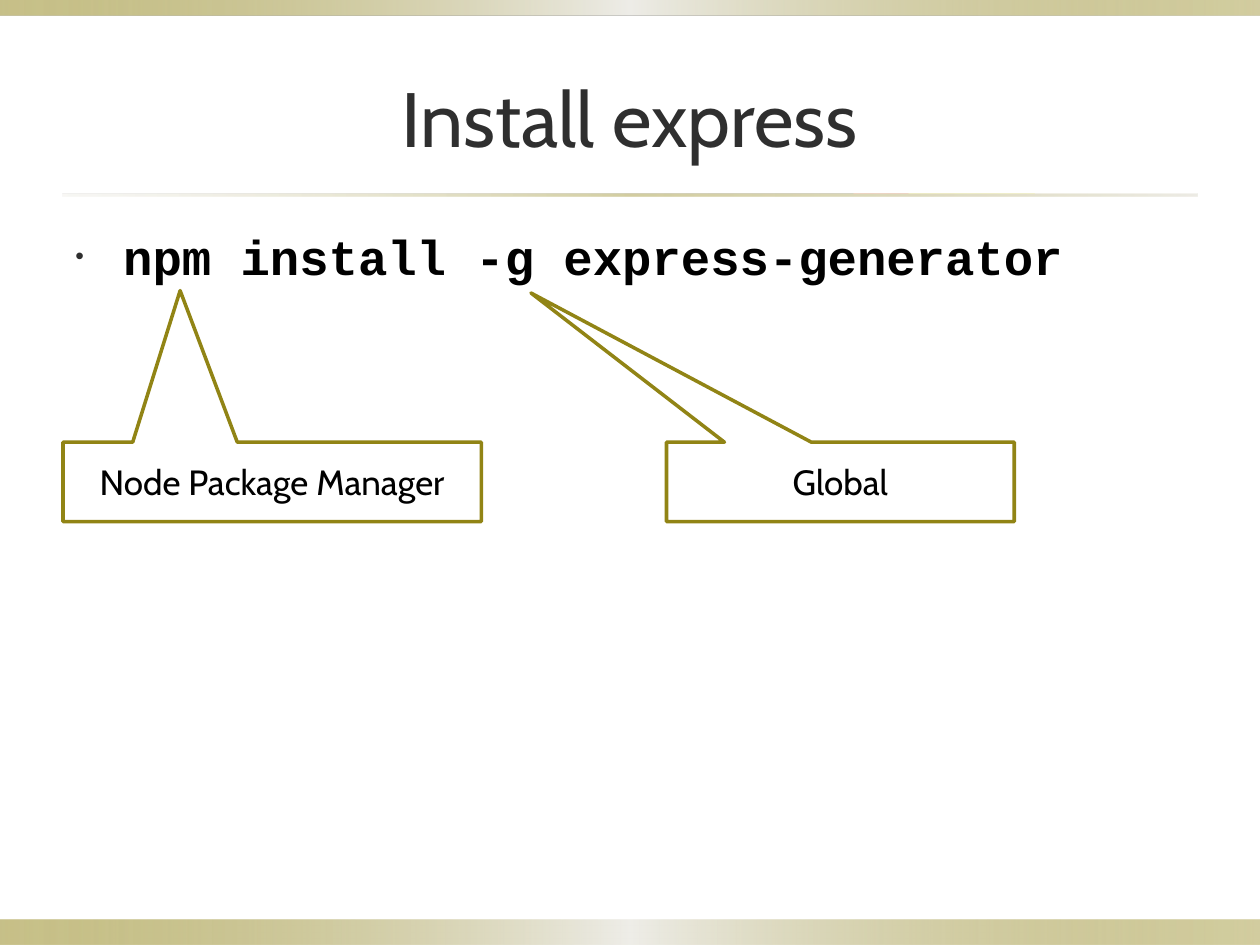
import lxml.etree
import pptx
import pptx.dml.color
import pptx.enum.shapes
import pptx.enum.text
import pptx.oxml.ns
import pptx.util
from pptx.util import Inches

COLORS = {
    "olive": "918415",
    "pale": "EEEDE8",
    "mist": "DCD9CC",
    "title": "2F2F2F",
    "text": "000000",
    "white": "FFFFFF",
}
BAND_STOPS = [(0, "olive", 50), (50, "pale", 100), (100, "olive", 40)]
RULE_STOPS = [(0, "mist", 20), (50, "olive", 40), (100, "mist", 50)]
PP_ALIGN = pptx.enum.text.PP_ALIGN
MSO_ANCHOR = pptx.enum.text.MSO_ANCHOR
MSO_SHAPE = pptx.enum.shapes.MSO_SHAPE


def rgb(name):
    return pptx.dml.color.RGBColor.from_string(COLORS[name])


def add_element(parent, tag, **attributes):
    element = lxml.etree.SubElement(parent, pptx.oxml.ns.qn(tag))
    for key, value in attributes.items():
        element.set(key, str(value))
    return element


def write_text(holder, text, size=20, font="Cabin", color="text", bold=False,
               align=PP_ALIGN.CENTER, anchor=MSO_ANCHOR.MIDDLE):
    frame = holder.text_frame
    frame.word_wrap = True
    frame.vertical_anchor = anchor
    paragraph = frame.paragraphs[0]
    paragraph.alignment = align
    run = paragraph.add_run()
    run.text = text
    run.font.size = pptx.util.Pt(size)
    run.font.name = font
    run.font.bold = bold
    run.font.color.rgb = rgb(color)
    return paragraph


def add_gradient_bar(slide, left, top, width, height, stops):
    bar = slide.shapes.add_shape(MSO_SHAPE.RECTANGLE, Inches(left), Inches(top),
                                 Inches(width), Inches(height))
    bar.shadow.inherit = False
    bar.line.fill.background()
    bar.fill.gradient()
    bar.fill.gradient_angle = 0
    stop_list = bar.element.spPr.find(".//" + pptx.oxml.ns.qn("a:gsLst"))
    for default_stop in list(stop_list):
        stop_list.remove(default_stop)
    for position, color, opacity in stops:
        stop = add_element(stop_list, "a:gs", pos=position * 1000)
        stop_color = add_element(stop, "a:srgbClr", val=COLORS[color])
        add_element(stop_color, "a:alpha", val=opacity * 1000)


def add_title(slide, text):
    title = slide.shapes.title
    title.left, title.top = Inches(0.5), Inches(0.3)
    title.width, title.height = Inches(9), Inches(1.25)
    write_text(title, text, size=44, color="title")


def add_command(slide, text):
    command = slide.shapes.add_textbox(Inches(0.5), Inches(1.75), Inches(9), Inches(5.13))
    paragraph = write_text(command, text, size=28, font="Courier New", bold=True,
                           align=PP_ALIGN.LEFT, anchor=MSO_ANCHOR.TOP)
    properties = paragraph._p.get_or_add_pPr()
    properties.set("marL", str(Inches(0.38)))
    properties.set("indent", str(Inches(-0.38)))
    spacing = add_element(properties, "a:spcBef")
    add_element(spacing, "a:spcPct", val=20000)
    bullet_color = add_element(properties, "a:buClr")
    add_element(bullet_color, "a:srgbClr", val=COLORS["title"])
    add_element(properties, "a:buSzPct", val=50000)
    add_element(properties, "a:buFont", typeface="Arial")
    add_element(properties, "a:buChar", char="•")


def add_callout(slide, text, left, width, pointer):
    callout = slide.shapes.add_shape(MSO_SHAPE.RECTANGULAR_CALLOUT, Inches(left),
                                     Inches(3.51), Inches(width), Inches(0.63))
    callout.adjustments[0], callout.adjustments[1] = pointer
    callout.shadow.inherit = False
    callout.fill.solid()
    callout.fill.fore_color.rgb = rgb("white")
    callout.line.color.rgb = rgb("olive")
    callout.line.width = pptx.util.Pt(2)
    write_text(callout, text)


def main():
    presentation = pptx.Presentation()
    presentation.slide_width, presentation.slide_height = Inches(10), Inches(7.5)
    slide = presentation.slides.add_slide(presentation.slide_layouts[5])
    add_gradient_bar(slide, 0, 7.3, 10, 0.2, BAND_STOPS)
    add_gradient_bar(slide, 0, 0, 10, 0.12, BAND_STOPS)
    add_gradient_bar(slide, 0.5, 1.54, 9, 0.02, RULE_STOPS)
    add_title(slide, "Install express")
    add_command(slide, "npm install -g express-generator")
    add_callout(slide, "Global", 5.29, 2.76, (-0.89, -2.38))
    add_callout(slide, "Node Package Manager", 0.5, 3.32, (-0.22, -2.41))
    presentation.save("out.pptx")


if __name__ == "__main__":
    main()
